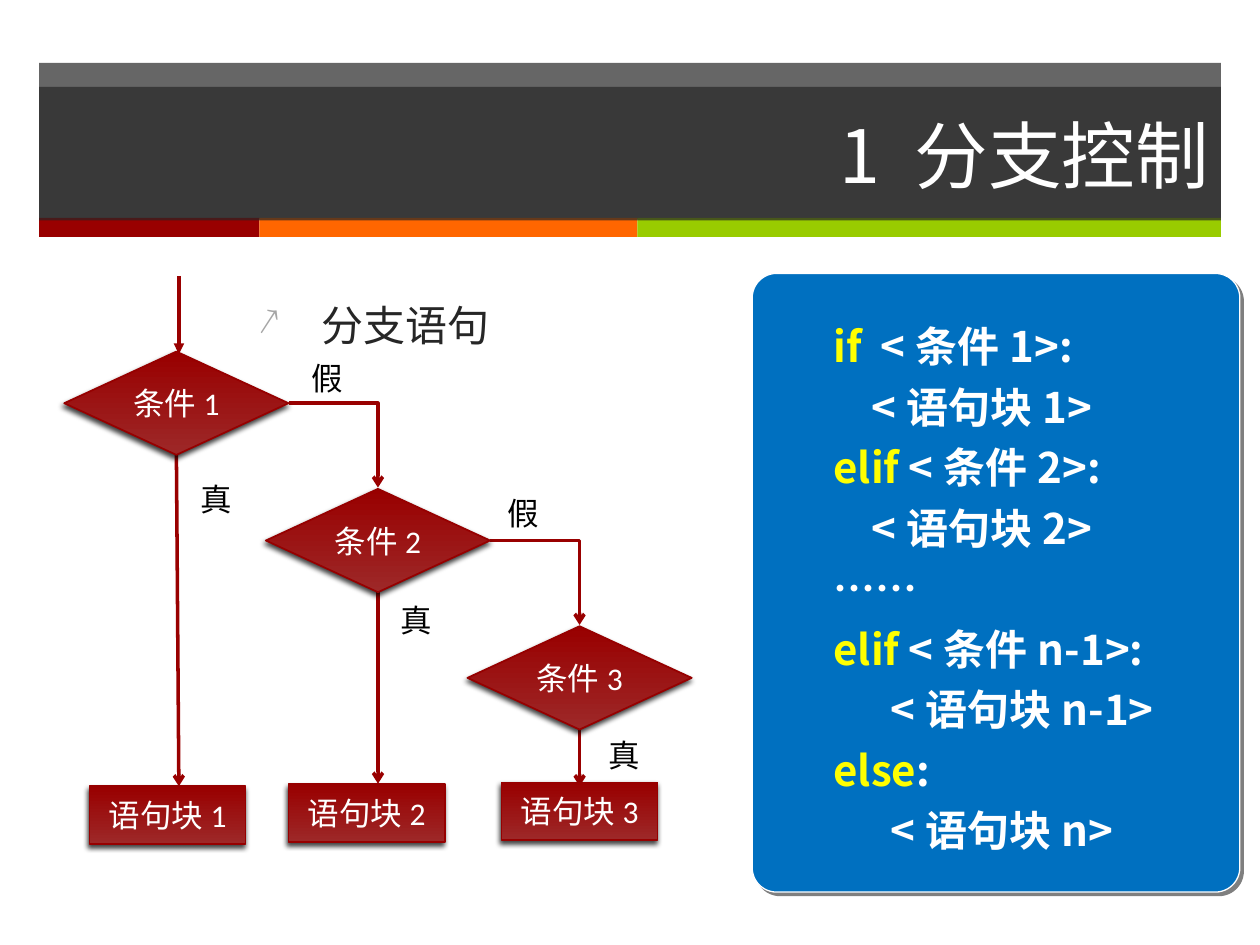
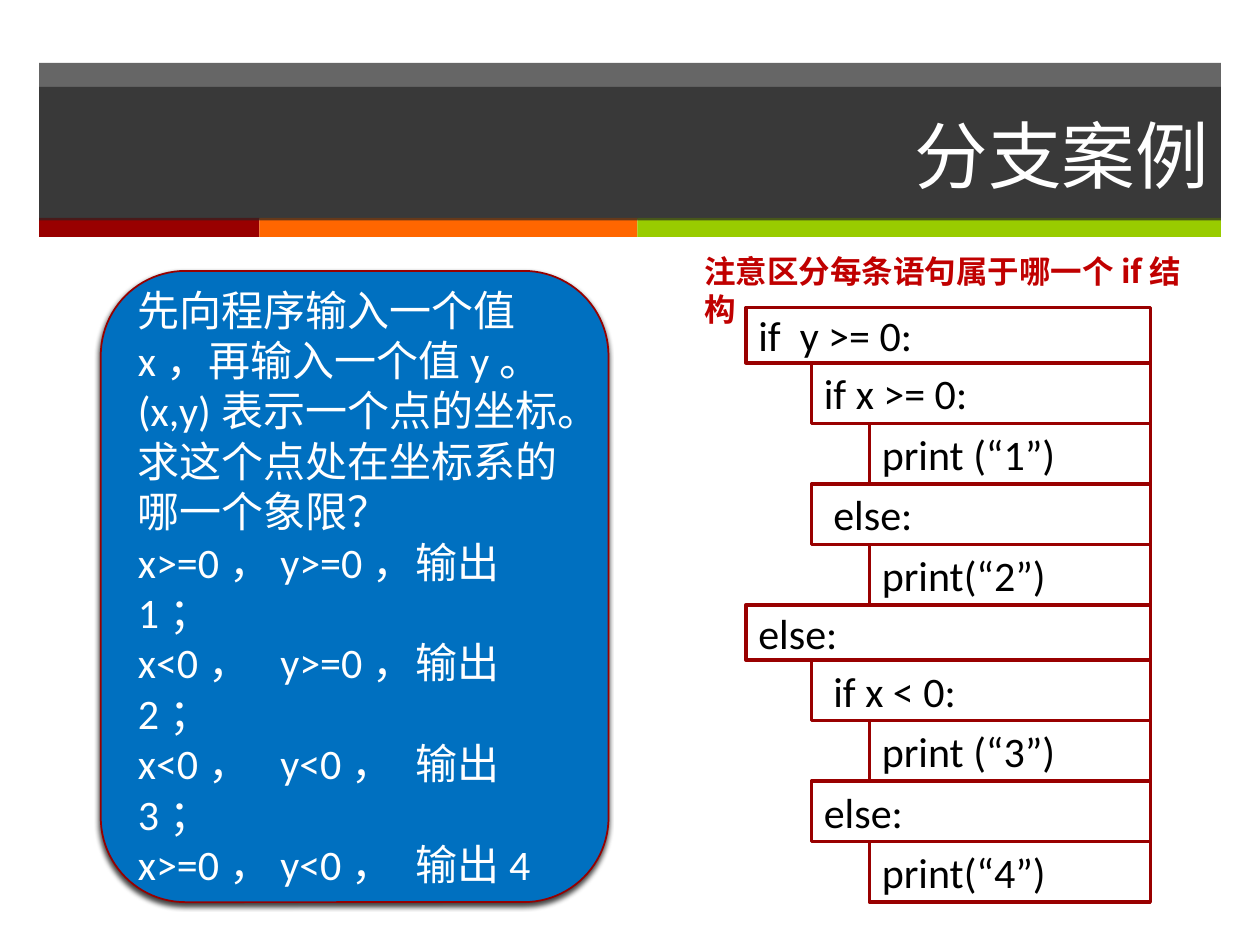
from lxml import etree
from pptx import Presentation
from pptx.dml.color import RGBColor
from pptx.enum.shapes import MSO_CONNECTOR as Connector, MSO_SHAPE as Shape
from pptx.enum.text import MSO_ANCHOR as Anchor, PP_ALIGN as Align
from pptx.oxml import parse_xml
from pptx.oxml.ns import nsdecls, qn
from pptx.util import Inches, Pt

CJK_FONT = "Noto Sans CJK SC"
WHITE, BLACK, DARK = "FFFFFF", "000000", "262626"
RED, EDGE_RED, LIGHT_RED = "990000", "960000", "9D2828"
BLUE, YELLOW = "0070C0", "FFFF00"
SOFT_SHADOW = (75, 3, 2, 110)
PANEL_SHADOW = (50, 0, 2.8, 45)
color = RGBColor.from_string


def add_box(slide, kind, bounds, fill, line=None, width=1, alpha=None, shadow=None):
    shape = slide.shapes.add_shape(kind, *map(Inches, bounds))
    shape.shadow.inherit = False
    if isinstance(fill, tuple):
        shape.fill.gradient()
        shape.fill.gradient_angle = 90
        for stop, stop_color in zip(shape.fill.gradient_stops, fill):
            stop.color.rgb = color(stop_color)
    else:
        shape.fill.solid()
        shape.fill.fore_color.rgb = color(fill)
    if alpha:
        fill_color = shape.element.spPr.find(qn("a:solidFill"))[0]
        etree.SubElement(fill_color, qn("a:alpha"), val=str(alpha * 1000))
    if line:
        shape.line.color.rgb = color(line)
        shape.line.width = Pt(width)
    else:
        shape.line.fill.background()
    if shadow:
        opacity, blur, distance, angle = shadow
        shape.element.spPr.find(qn("a:effectLst")).append(parse_xml(
            f'<a:outerShdw {nsdecls("a")} blurRad="{Pt(blur)}" dist="{Pt(distance)}" '
            f'dir="{angle * 60000}" algn="ctr" rotWithShape="0"><a:srgbClr val="{BLACK}">'
            f'<a:alpha val="{opacity * 1000}"/></a:srgbClr></a:outerShdw>'))
    return shape


def write(shape, lines, size, font="Calibri", bold=False, align=Align.LEFT,
          anchor=Anchor.MIDDLE, wrap=True):
    frame = shape.text_frame
    frame.word_wrap = wrap
    frame.vertical_anchor = anchor
    for number, line in enumerate(lines):
        paragraph = frame.add_paragraph() if number else frame.paragraphs[0]
        paragraph.alignment = align
        for text, text_color in line:
            run = paragraph.add_run()
            run.text = text
            run.font.size = Pt(size)
            run.font.name = font
            run.font.bold = bold
            run.font.color.rgb = color(text_color)
    return frame.paragraphs


presentation = Presentation()
presentation.slide_width = Inches(10)
presentation.slide_height = Inches(7.5)

slides = []
for title in ("1 分支控制", "分支案例"):
    slide = presentation.slides.add_slide(presentation.slide_layouts[6])
    add_box(slide, Shape.RECTANGLE, (0.31, 0.5, 9.38, 1.24), DARK, alpha=70)
    for left, width, fill in ((0.31, 1.75, RED), (2.06, 3, "FF6600"), (5.06, 4.63, "99CC00")):
        add_box(slide, Shape.RECTANGLE, (left, 1.73, width, 0.15), fill)
    title_band = add_box(slide, Shape.RECTANGLE, (0.31, 0.69, 9.38, 1.06), DARK, alpha=70)
    write(title_band, [[(title, WHITE)]], 42, CJK_FONT, align=Align.RIGHT)
    slides.append(slide)
flow_slide, case_slide = slides

topic = flow_slide.shapes.add_textbox(Inches(1.95), Inches(2.33), Inches(7.74), Inches(4.37))
topic_paragraph = write(topic, [[("分支语句", DARK)]], 24, anchor=Anchor.TOP)[0]
properties = topic_paragraph._p.get_or_add_pPr()
properties.set("marL", str(Inches(0.5)))
properties.set("indent", str(Inches(-0.5)))
bullet_color = etree.SubElement(properties, qn("a:buClr"))
etree.SubElement(bullet_color, qn("a:srgbClr"), val="A6A6A6")
etree.SubElement(properties, qn("a:buSzPct"), val="90000")
etree.SubElement(properties, qn("a:buChar"), char="↗")

code_panel = add_box(flow_slide, Shape.ROUNDED_RECTANGLE, (5.97, 2.17, 3.87, 4.91), BLUE,
                     WHITE, 0.75, shadow=PANEL_SHADOW)
code_panel.adjustments[0] = 0.05
code_lines = [
    [("if ", YELLOW), (" <条件1>:", WHITE)],
    [("    <语句块1>", WHITE)],
    [("elif ", YELLOW), ("<条件2>:", WHITE)],
    [("    <语句块2>", WHITE)],
    [("……", WHITE)],
    [("elif ", YELLOW), ("<条件n-1>:", WHITE)],
    [("      <语句块n-1>", WHITE)],
    [("else", YELLOW), (":", WHITE)],
    [("      <语句块n>", WHITE)],
]
for paragraph in write(code_panel, code_lines, 24, CJK_FONT, bold=True):
    paragraph.line_spacing = 1.2
    paragraph._p.get_or_add_pPr().set("marL", str(Inches(0.49)))

arrows = [
    (Connector.STRAIGHT, (1.42, 2.19, 1.42, 2.81), "triangle"),
    (Connector.STRAIGHT, (1.4, 3.61, 1.42, 6.24), "arrow"),
    (Connector.STRAIGHT, (3, 4.7, 3, 6.22), "arrow"),
    (Connector.STRAIGHT, (4.6, 5.79, 4.6, 6.24), "arrow"),
    (Connector.ELBOW, (2.29, 3.2, 3, 3.87), "arrow"),
    (Connector.ELBOW, (3.89, 4.29, 4.6, 4.96), "arrow"),
]
for kind, ends, head in arrows:
    connector = flow_slide.shapes.add_connector(kind, *map(Inches, ends))
    connector.line.color.rgb = color(RED)
    connector.line.width = Pt(2)
    shape_properties = connector.element.spPr
    if kind == Connector.ELBOW:
        shape_properties.find(qn("a:prstGeom")).set("prst", "bentConnector2")
    etree.SubElement(shape_properties.find(qn("a:ln")), qn("a:tailEnd"), type=head)
    etree.SubElement(shape_properties, qn("a:effectLst"))

for step, block_left in enumerate((0.71, 2.29, 3.98)):
    condition = (Shape.FLOWCHART_DECISION, "条件",
                 (0.51 + 1.6 * step, 2.79 + 1.09 * step, 1.78, 0.82))
    block = (Shape.RECTANGLE, "语句块", (block_left, 6.24 - 0.015 * step, 1.24, 0.46))
    for kind, name, bounds in (condition, block):
        node = add_box(flow_slide, kind, bounds, (LIGHT_RED, RED), EDGE_RED,
                       shadow=SOFT_SHADOW)
        write(node, [[(f"{name}{step + 1}", WHITE)]], 18, align=Align.CENTER, wrap=False)

branch_labels = [("真", 1.49, 3.76), ("真", 3.08, 4.72), ("真", 4.73, 5.79),
                 ("假", 2.37, 2.8), ("假", 3.93, 3.87)]
for text, left, top in branch_labels:
    label = flow_slide.shapes.add_textbox(Inches(left), Inches(top), Inches(0.45), Inches(0.4))
    write(label, [[(text, BLACK)]], 18, anchor=Anchor.TOP, wrap=False)

task_panel = add_box(case_slide, Shape.ROUNDED_RECTANGLE, (0.8, 2.15, 4.03, 5.01), BLUE,
                     EDGE_RED, shadow=SOFT_SHADOW)
task_panel.text_frame.margin_right = Inches(0.15)
task_lines = [
    "先向程序输入一个值x，再输入一个值y。(x,y)表示一个点的坐标。求这个点处在坐标系的哪一个象限？",
    "x>=0，\ty>=0，\t输出1；",
    "x<0，\ty>=0，\t输出2；",
    "x<0，\ty<0，\t输出3；",
    "x>=0，\ty<0，\t输出4",
]
task_paragraphs = write(task_panel, [[(line, WHITE)] for line in task_lines], 24)
for paragraph in task_paragraphs[1:]:
    tabs = etree.SubElement(paragraph._p.get_or_add_pPr(), qn("a:tabLst"))
    for position in (1.13, 2.2):
        etree.SubElement(tabs, qn("a:tab"), pos=str(Inches(position)), algn="l")

statements = [
    (0, "if  y >= 0:"),
    (1, "if x >= 0:"),
    (2, "print (“1”)"),
    (1, " else:"),
    (2, "print(“2”)"),
    (0, "else:"),
    (1, " if x < 0:"),
    (2, "print (“3”)"),
    (1, "else:"),
    (2, "print(“4”)"),
]
statement_lefts = (5.92, 6.44, 6.9)
statement_right = 9.13
top = 2.44
for level, text in statements:
    left = statement_lefts[level]
    height = 0.48 if level else 0.44
    statement = add_box(case_slide, Shape.RECTANGLE, (left, top, statement_right - left, height),
                        WHITE, RED, 2)
    write(statement, [[(text, BLACK)]], 24)
    top += height

reminder = case_slide.shapes.add_textbox(Inches(5.49), Inches(1.95), Inches(4.14), Inches(0.4))
write(reminder, [[("注意区分每条语句属于哪一个if结构", "C00000")]], 18, CJK_FONT, bold=True,
      anchor=Anchor.TOP)

presentation.save("out.pptx")
